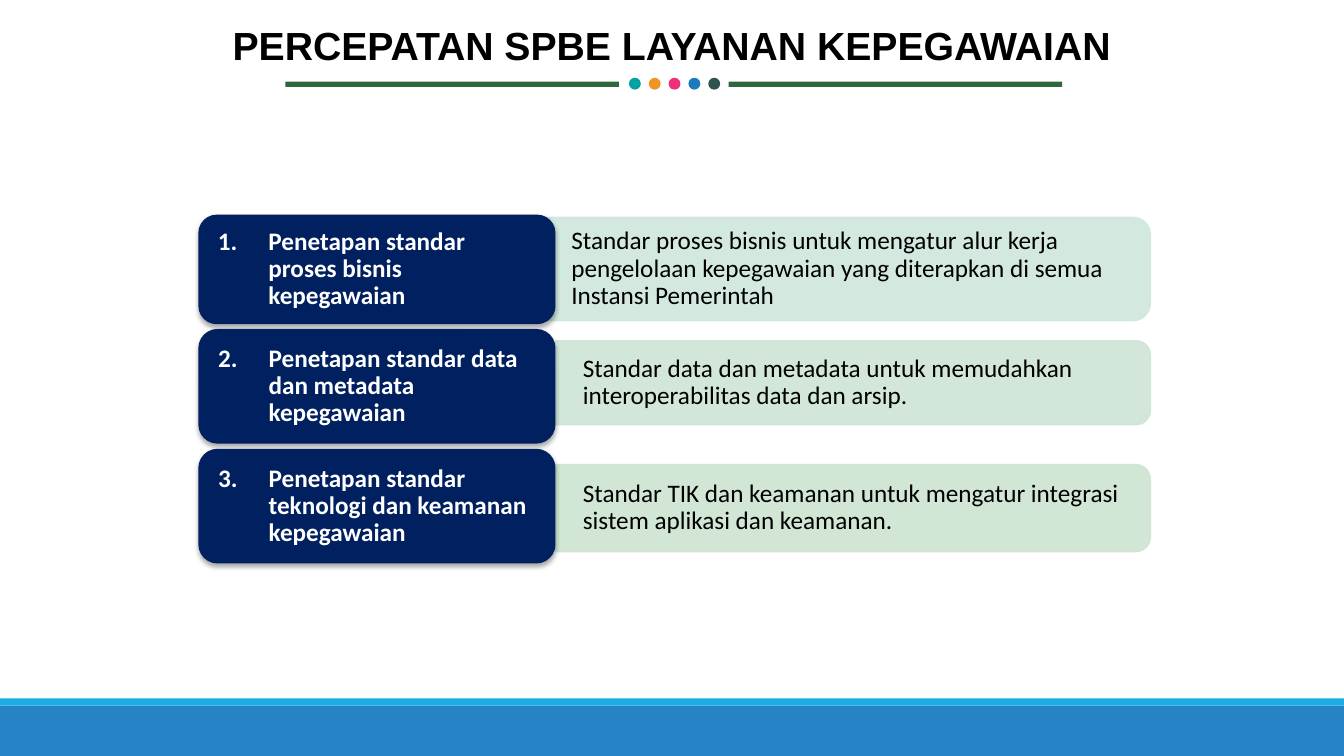
"""Build the slide on accelerating SPBE for personnel services."""
from math import cos, pi, sin

from lxml import etree
from pptx import Presentation
from pptx.dml.color import RGBColor
from pptx.enum.shapes import MSO_SHAPE
from pptx.enum.text import MSO_ANCHOR, PP_ALIGN
from pptx.oxml import parse_xml
from pptx.oxml.ns import nsdecls, qn
from pptx.util import Cm, Pt

RECTANGLE, ROUNDED, OVAL = MSO_SHAPE.RECTANGLE, MSO_SHAPE.ROUNDED_RECTANGLE, MSO_SHAPE.OVAL
MIDDLE, CENTER, LEFT = MSO_ANCHOR.MIDDLE, PP_ALIGN.CENTER, PP_ALIGN.LEFT
SHADOW = (
    f'<a:effectLst {nsdecls("a")}><a:outerShdw blurRad="44450" dist="27940" dir="5400000" '
    'algn="ctr" rotWithShape="0"><a:srgbClr val="000000"><a:alpha val="32000"/></a:srgbClr>'
    '</a:outerShdw></a:effectLst>'
)


def paint(shape, color):
    """Give a shape a plain fill without line or shadow."""
    shape.shadow.inherit = False
    shape.fill.solid()
    shape.fill.fore_color.rgb = RGBColor.from_string(color)
    shape.line.fill.background()


def write(shape, text, insets, align, font_format, color, spacing):
    """Put one formatted paragraph in a shape and return it."""
    frame = shape.text_frame
    frame.word_wrap = True
    frame.vertical_anchor = MIDDLE
    for side, inset in zip(("left", "top", "right", "bottom"), insets):
        setattr(frame, f"margin_{side}", Cm(inset))
    paragraph = frame.paragraphs[0]
    paragraph.alignment = align
    paragraph.line_spacing = spacing
    run = paragraph.add_run()
    run.text = text
    for name, value in font_format.items():
        setattr(run.font, name, value)
    run.font.color.rgb = RGBColor.from_string(color)
    return paragraph


presentation = Presentation()
presentation.slide_width, presentation.slide_height = Cm(33.87), Cm(19.05)
slide = presentation.slides.add_slide(presentation.slide_layouts[6])
shapes = slide.shapes

decorations = [
    (RECTANGLE, 0, 17.78, 33.87, 1.27, "2683C6"),
    (RECTANGLE, 0, 17.6, 33.87, 0.18, "1CADE4"),
    (RECTANGLE, 7.19, 2.06, 8.41, 0.13, "2F663E"),
    (RECTANGLE, 18.36, 2.06, 8.41, 0.13, "2F663E"),
]
dot_colors = ("03A1A4", "EE9524", "EF3078", "1C7CBB", "305250")
for index, color in enumerate(dot_colors):
    decorations.append((OVAL, 15.85 + 0.5 * index, 1.96, 0.3, 0.3, color))
for kind, left, top, width, height, color in decorations:
    paint(shapes.add_shape(kind, Cm(left), Cm(top), Cm(width), Cm(height)), color)

title = shapes.add_textbox(Cm(4.24), Cm(0.41), Cm(25.37), Cm(1.45))
title_format = {"name": "Arial", "size": Pt(28), "bold": True}
write(title, "PERCEPATAN SPBE LAYANAN KEPEGAWAIAN", (0.25, 0.13, 0.25, 0.13),
      CENTER, title_format, "000000", 1.0)

detail_right = 28.99
standards = [
    (5.41, 2.76, "Penetapan standar proses bisnis kepegawaian",
     13.71, 5.48, 2.6, "CFE7DD",
     "Standar proses bisnis untuk mengatur alur kerja pengelolaan kepegawaian "
     "yang diterapkan di semua Instansi Pemerintah"),
    (8.29, 2.89, "Penetapan standar data dan metadata kepegawaian",
     14, 8.59, 2.11, "CEE5D7",
     "Standar data dan metadata untuk memudahkan interoperabilitas data dan arsip."),
    (11.31, 2.89, "Penetapan standar teknologi dan keamanan kepegawaian",
     14, 11.71, 2.19, "CEE4D1",
     "Standar TIK dan keamanan untuk mengatur integrasi sistem aplikasi dan keamanan."),
]
for number, standard in enumerate(standards, 1):
    card_top, card_height, heading, left, top, height, color, description = standard

    radius = height / 6
    center_x = detail_right - radius
    outline = []
    for center_y, start in ((top + radius, -pi / 2), (top + height - radius, 0)):
        for step in range(13):
            angle = start + step * pi / 24
            outline.append((Cm(center_x + radius * cos(angle)),
                            Cm(center_y + radius * sin(angle))))
    outline.append((Cm(left), Cm(top + height)))
    builder = shapes.build_freeform(Cm(left), Cm(top))
    builder.add_line_segments(outline, close=True)
    detail = builder.convert_to_shape()
    paint(detail, color)
    detail.line.color.rgb = RGBColor.from_string(color)
    detail.line.width = Pt(1)
    for color_element in detail._element.spPr.iter(qn("a:srgbClr")):
        etree.SubElement(color_element, qn("a:alpha"), val="90000")
    write(detail, description, (0.69, 0.43, 0.78, 0.43), LEFT,
          {"name": "Calibri", "size": Pt(18)}, "000000", 0.9)

    card = shapes.add_shape(ROUNDED, Cm(5), Cm(card_top), Cm(9), Cm(card_height))
    paint(card, "002060")
    properties = card._element.spPr
    properties.replace(properties.find(qn("a:effectLst")), parse_xml(SHADOW))
    paragraph = write(card, heading, (0.36, 0.25, 0.36, 0.25), LEFT,
                      {"name": "Calibri", "size": Pt(18), "bold": True}, "FFFFFF", 0.9)
    numbering = paragraph._p.get_or_add_pPr()
    numbering.set("marL", str(Cm(1.27)))
    numbering.set("indent", str(-Cm(1.27)))
    etree.SubElement(numbering, qn("a:buFont"), typeface="+mj-lt")
    etree.SubElement(numbering, qn("a:buAutoNum"), type="arabicPeriod", startAt=str(number))

presentation.save("out.pptx")
